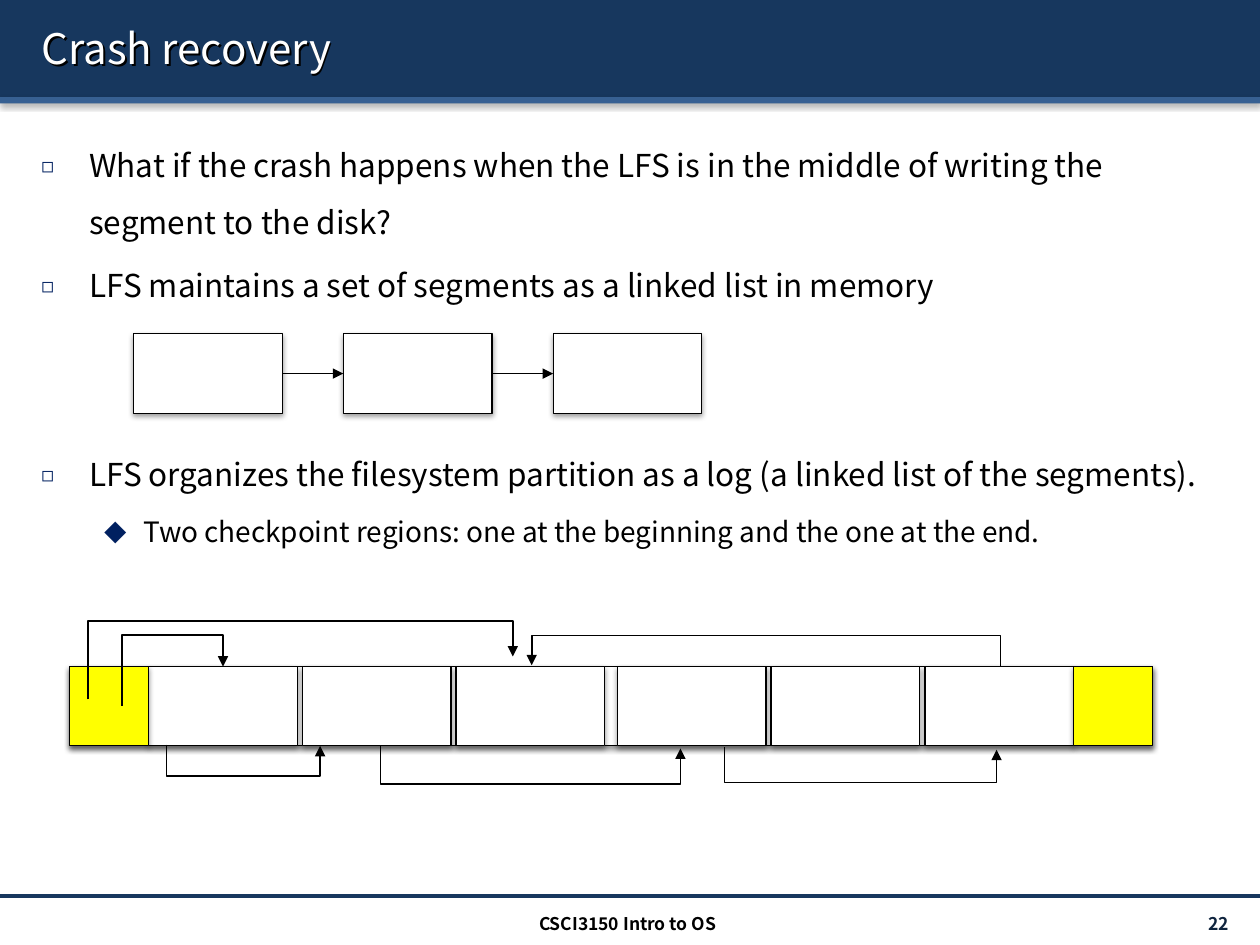
from lxml import etree
from pptx import Presentation
from pptx.dml.color import RGBColor
from pptx.enum.shapes import MSO_CONNECTOR, MSO_SHAPE
from pptx.enum.text import MSO_ANCHOR, PP_ALIGN
from pptx.oxml.ns import qn
from pptx.util import Inches, Pt

RECT = MSO_SHAPE.RECTANGLE
LINE, ELBOW = MSO_CONNECTOR.STRAIGHT, MSO_CONNECTOR.ELBOW
LEFT, MID, RIGHT = PP_ALIGN.LEFT, PP_ALIGN.CENTER, PP_ALIGN.RIGHT
TOP, CENTER = MSO_ANCHOR.TOP, MSO_ANCHOR.MIDDLE

FONT = "Noto Sans CJK KR"
BLACK = RGBColor(0, 0, 0)
WHITE = RGBColor(255, 255, 255)
YELLOW = RGBColor(255, 255, 0)
NAVY = RGBColor(0x17, 0x37, 0x5E)
BLUE = RGBColor(0x37, 0x60, 0x92)
MARK = RGBColor(0x00, 0x20, 0x60)
DARK = RGBColor(0x0F, 0x24, 0x3E)

# Content: level, space before in points, text
TITLE = "Crash recovery"
POINTS = [
    (0, 0, "What if the crash happens when the LFS is in the middle of "
           "writing the segment to the disk?"),
    (0, 3.6, "LFS maintains a set of segments as a linked list in memory"),
    (0, 75.6, "LFS organizes the filesystem partition as a log "
              "(a linked list of the segments)."),
    (1, 3.2, "Two checkpoint regions: one at the beginning and the one "
             "at the end."),
]
# Per level: indent, hanging, size, bullet, bullet size in percent
LEVELS = [(0.38, 0.38, 18, "◻", 65), (0.81, 0.31, 16, "◆", 80)]
FOOTER, PAGE = "CSCI3150 Intro to OS", "22"

# Grid of the diagrams, in inches
WIDE, HIGH = 1.18, 0.63
CHAIN_X, CHAIN_Y, CHAIN_STEP = 1.06, 2.65, 1.665
LOG_X, LOG_Y, LOG_W, LOG_STEP = 0.55, 5.29, 8.6, 1.22
GROUPS = (LOG_X + HIGH, 4.9)  # three segments start at each

# Log pointers: start, end, height of the crossing run
LINKS = [
    ((1.32, 5.91), (2.54, 5.92), 6.16),
    ((3.02, 5.92), (5.4, 5.94), 6.22),
    ((5.75, 5.93), (7.91, 5.95), 6.21),
    ((7.94, 5.29), (4.22, 5.28), 5.04),
    ((0.97, 5.6), (1.77, 5.29), 5.04),
    ((0.7, 5.55), (4.07, 5.21), 4.93),
]

prs = Presentation()
prs.slide_width, prs.slide_height = Inches(10), Inches(7.5)
slide = prs.slides.add_slide(prs.slide_layouts[5])
shapes = slide.shapes


def add(parent, tag, **attrs):
    node = etree.SubElement(parent, qn(tag))
    for key, value in attrs.items():
        node.set(key, str(value))
    return node


def shade(shape, blur, dist, angle, alpha):
    fx = add(shape._element.spPr, "a:effectLst")
    glow = add(fx, "a:outerShdw", blurRad=Pt(blur), dist=Pt(dist),
               dir=angle * 60000, rotWithShape=0)
    add(add(glow, "a:srgbClr", val=BLACK), "a:alpha", val=alpha * 1000)


def box(x, y, w, h, fill, edge=True):
    rect = shapes.add_shape(RECT, *map(Inches, (x, y, w, h)))
    rect.fill.solid()
    rect.fill.fore_color.rgb = fill
    if edge:
        rect.line.color.rgb = BLACK
        rect.line.width = Pt(0.75)
    else:
        rect.line.fill.background()
    shade(rect, 3.1, 1.6, 90, 38)
    return rect


def wire(kind, start, end, color=BLACK, width=1, arrow=True):
    line = shapes.add_connector(kind, *map(Inches, (*start, *end)))
    line.line.color.rgb = color
    line.line.width = Pt(width)
    if arrow:
        add(line.line._get_or_add_ln(), "a:tailEnd", type="triangle")
    add(line._element.spPr, "a:effectLst")
    return line


def bend(start, end, rail):
    """Elbow that leaves vertically, crosses at rail and returns."""
    (x1, y1), (x2, y2) = start, end
    mx, my = (x1 + x2) / 2, (y1 + y2) / 2
    dx, dy = (x2 - x1) / 2, (y2 - y1) / 2
    # Ends are given as they lie before the quarter turn
    line = wire(ELBOW, (mx + dy, my - dx), (mx - dy, my + dx))
    props = line._element.spPr
    props.find(qn("a:xfrm")).set("rot", str(270 * 60000))
    share = round((y1 - rail) / (y1 - y2) * 100000)
    add(props.find(qn("a:prstGeom")).find(qn("a:avLst")), "a:gd",
        name="adj1", fmla=f"val {share}")


def style(para, size, color, align=LEFT, bold=False):
    para.alignment = align
    for run in para.runs:
        font = run.font
        font.name, font.size, font.bold = FONT, Pt(size), bold
        font.color.rgb = color


def place(shape, x, y, w, h, anchor):
    shape.left, shape.top, shape.width, shape.height = map(
        Inches, (x, y, w, h))
    frame = shape.text_frame
    frame.word_wrap = True
    frame.vertical_anchor = anchor
    return frame


def label(text, x, y, w, h, anchor, *look):
    frame = place(shapes.add_textbox(0, 0, 0, 0), x, y, w, h, anchor)
    frame.text = text
    style(frame.paragraphs[0], *look)


# Header bars and footer rule
box(0, 0, 10, 0.77, NAVY, False)
box(0, 0.77, 10, 0.05, BLUE, False)
wire(LINE, (0, 7.11), (10, 7.11), NAVY, 2, False)

# Title, raised above the header; its shadow falls from the letters
title = shapes.title
shapes._spTree.append(title._element)
frame = place(title, 0.23, 0.06, 9.61, 0.64, CENTER)
frame.text = TITLE
style(frame.paragraphs[0], 24, WHITE)
title.fill.background()
shade(title, 0, 1.6, 45, 100)

# Bullets
frame = place(shapes.add_textbox(0, 0, 0, 0), 0.23, 0.96, 9.61, 6.02, TOP)
for i, (level, gap, text) in enumerate(POINTS):
    para = frame.paragraphs[0] if i == 0 else frame.add_paragraph()
    indent, hang, size, char, share = LEVELS[level]
    para.text = text
    para.level = level
    para.line_spacing = 1.5
    para.space_before = Pt(gap)
    props = para._p.get_or_add_pPr()
    props.set("marL", str(Inches(indent)))
    props.set("indent", str(-Inches(hang)))
    add(add(props, "a:buClr"), "a:srgbClr", val=MARK)
    add(props, "a:buSzPct", val=share * 1000)
    add(props, "a:buFont", typeface=FONT)
    add(props, "a:buChar", char=char)
    style(para, size, BLACK)

# Footer
label(PAGE, 8.71, 7.21, 1.14, 0.24, CENTER, 10, DARK, RIGHT, True)
label(FOOTER, 3.32, 7.2, 3.32, 0.24, TOP, 10, BLACK, MID, True)

# Log on disk: base, segments, two checkpoint regions
box(LOG_X, LOG_Y, LOG_W, HIGH, WHITE)
for first in GROUPS:
    for i in range(3):
        box(first + i * LOG_STEP, LOG_Y, WIDE, HIGH, WHITE)
for x in (LOG_X, LOG_X + LOG_W - HIGH):
    box(x, LOG_Y, HIGH, HIGH, YELLOW)
for link in LINKS:
    bend(*link)

# Linked list in memory
nodes = [box(CHAIN_X + i * CHAIN_STEP, CHAIN_Y, WIDE, HIGH, WHITE)
         for i in range(3)]
for a, b in zip(nodes, nodes[1:]):
    line = wire(LINE, (0, 0), (1, 1))
    line.begin_connect(a, 3)
    line.end_connect(b, 1)

prs.save("out.pptx")
